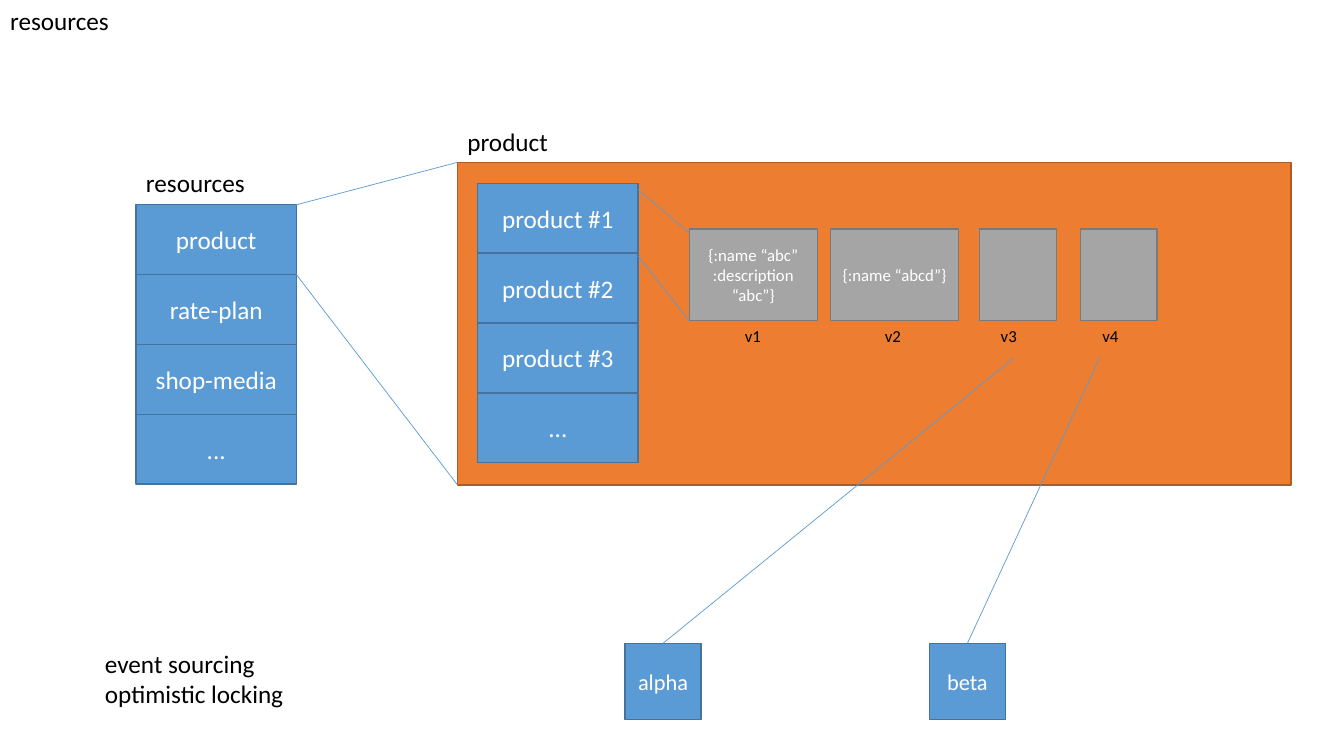
from dataclasses import dataclass

from lxml import etree
from pptx import Presentation
from pptx.dml.color import RGBColor as Rgb
from pptx.enum import shapes as kinds, text as txt
from pptx.oxml import ns
from pptx.util import Cm, Pt


@dataclass(frozen=True)
class Theme:
    font: str = "Calibri"
    black: str = "000000"
    white: str = "FFFFFF"
    blue: tuple = ("5B9BD5", "43739E")  # fill, edge
    orange: tuple = ("ED7D31", "AF5C24")
    gray: tuple = ("A5A5A5", "7A7A7A")
    big: int = 18
    mid: int = 16
    small: int = 12
    edge: float = 1
    thin: float = 0.5


theme = Theme()


def write(shape, text, size=theme.big, color=theme.black, align="LEFT",
          anchor="TOP", wrap=False):
    frame = shape.text_frame
    frame.text = text
    frame.word_wrap = wrap
    frame.auto_size = txt.MSO_AUTO_SIZE.NONE
    frame.vertical_anchor = txt.MSO_ANCHOR[anchor]
    for para in frame.paragraphs:
        para.alignment = txt.PP_ALIGN[align]
        para.space_before = Pt(0)
        para.font.name = theme.font
        para.font.size = Pt(size)
        para.font.color.rgb = Rgb.from_string(color)


def box(x, y, w, h, paint, text="", size=theme.big):
    rect = slide.shapes.add_shape(
        kinds.MSO_SHAPE.RECTANGLE, Cm(x), Cm(y), Cm(w), Cm(h))
    rect.shadow.inherit = False
    rect.fill.solid()
    rect.fill.fore_color.rgb = Rgb.from_string(paint[0])
    rect.line.color.rgb = Rgb.from_string(paint[1])
    rect.line.width = Pt(theme.edge)
    if text:
        write(rect, text, size=size, color=theme.white, align="CENTER",
              anchor="MIDDLE", wrap=True)


deck = Presentation()
deck.slide_width, deck.slide_height = Cm(33.87), Cm(19.05)
slide = deck.slides.add_slide(deck.slide_layouts[1])

# Title and notes at the lower left
title, body = slide.placeholders
for holder, words, (x, y, w, h) in [
    (title, "resources", (0, 0, 3.02, 1.02)),
    (body, "event sourcing\noptimistic locking", (2.39, 16.21, 5.05, 1.8)),
]:
    holder.left, holder.top, holder.width, holder.height = (
        Cm(x), Cm(y), Cm(w), Cm(h))
    write(holder, words)
for para in body.text_frame.paragraphs:
    props = para._p.get_or_add_pPr()
    props.set("marL", "0")
    props.set("indent", "0")
    bullet = etree.Element(ns.qn("a:buNone"))
    props.find(ns.qn("a:spcBef")).addnext(bullet)

# Orange panel behind the products
box(11.53, 4.09, 21.01, 8.13, theme.orange)

# Stacks of resources and products
row = 1.76
for x, y, names in [
    (3.43, 5.16, ["product", "rate-plan", "shop-media", "..."]),
    (12.04, 4.62, ["product #1", "product #2", "product #3", "..."]),
]:
    for i, name in enumerate(names):
        box(x, y + i * row, 4.04, row, theme.blue, name)

# Version cards
for x, w, words in [
    (17.37, 3.23, "{:name “abc”\n:description “abc”}"),
    (20.93, 3.23, "{:name “abcd”}"),
    (24.69, 1.93, ""),
    (27.23, 1.93, ""),
]:
    box(x, 5.77, w, 2.31, theme.gray, words, theme.small)

# Environments
for x, name in [(15.75, "alpha"), (23.42, "beta")]:
    box(x, 16.21, 1.92, 1.92, theme.blue, name, theme.mid)

# Labels
for words, x, y, w, h, size in [
    ("resources", 3.43, 4.09, 3.02, 1.02, theme.big),
    ("product", 11.53, 3.07, 2.57, 1.02, theme.big),
    ("v1", 18.52, 8.08, 1.63, 0.76, theme.small),
    ("v2", 22.05, 8.08, 1.63, 0.76, theme.small),
    ("v3", 24.97, 8.08, 1.63, 0.76, theme.small),
    ("v4", 27.53, 8.08, 1.63, 0.76, theme.small),
]:
    label = slide.shapes.add_textbox(Cm(x), Cm(y), Cm(w), Cm(h))
    write(label, words, size=size, wrap=size == theme.small)

# Zoom lines and links to the environments
for ends in [
    (7.47, 5.16, 11.53, 4.09),
    (7.47, 6.92, 11.53, 12.22),
    (16.08, 4.78, 17.37, 5.87),
    (16.08, 6.45, 17.37, 8.08),
    (16.71, 16.21, 25.55, 9.02),
    (24.38, 16.21, 27.71, 9.02),
]:
    link = slide.shapes.add_connector(
        kinds.MSO_CONNECTOR.STRAIGHT, *map(Cm, ends))
    link.line.color.rgb = Rgb.from_string(theme.blue[0])
    link.line.width = Pt(theme.thin)
    etree.SubElement(link._element.spPr, ns.qn("a:effectLst"))

deck.save("out.pptx")
